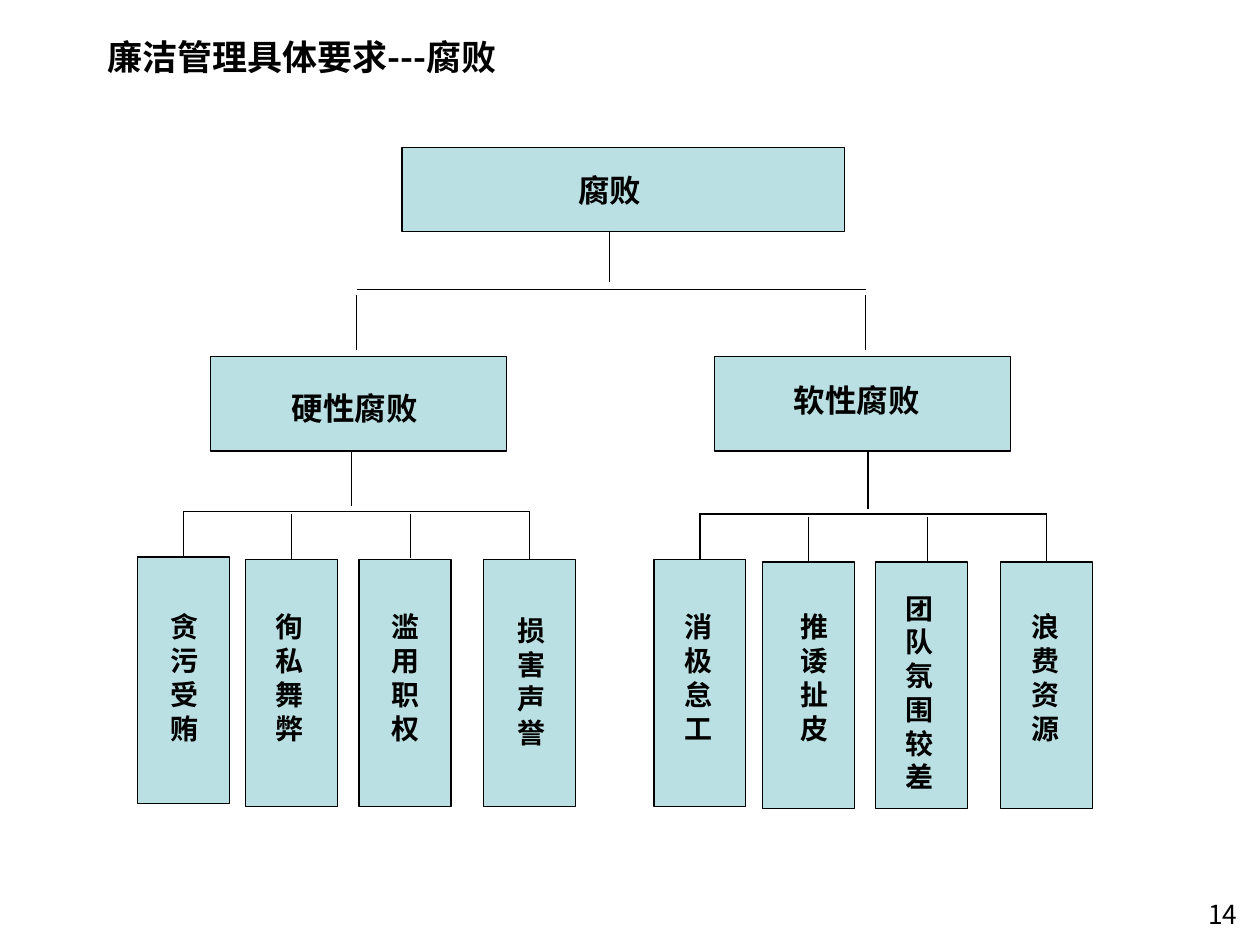
"""Build the slide with the tree of hard and soft corruption."""
from lxml.etree import SubElement
from pptx import Presentation
from pptx.dml.color import RGBColor
from pptx.enum.shapes import MSO_CONNECTOR, MSO_SHAPE
from pptx.enum.text import MSO_ANCHOR, PP_ALIGN
from pptx.oxml.ns import qn
from pptx.util import Inches, Pt

BLACK = RGBColor(0, 0, 0)
TEAL = RGBColor(0xBB, 0xE0, 0xE3)
SANS = "Noto Sans CJK SC"

deck = Presentation()
deck.slide_width, deck.slide_height = Inches(10), Inches(7.5)
COL, ROW = deck.slide_width / 100, deck.slide_height / 75
slide = deck.slides.add_slide(deck.slide_layouts[5])
shapes = slide.shapes


def write(text, place, box=None, size=18, font="Arial", bold=True, align=PP_ALIGN.CENTER,
          anchor=MSO_ANCHOR.TOP, pad=(0, 0), drop=0, pitch=None):
    x, y, w, h = place
    box = box or shapes.add_textbox(0, 0, 0, 0)
    box.left, box.top = round(x * COL), round(y * ROW)
    box.width, box.height = round(w * COL), round(h * ROW)
    frame = box.text_frame
    frame.word_wrap = True
    frame.vertical_anchor = anchor
    frame.margin_left = frame.margin_right = round(pad[0] * COL)
    frame.margin_top = round((pad[1] + drop) * ROW)
    frame.margin_bottom = round(pad[1] * ROW)
    frame.text = text
    for para in frame.paragraphs:
        para.alignment = align
        para.space_before = Pt(0)
        if pitch:
            para.line_spacing = Pt(pitch)
        for run in para.runs:
            run.font.size, run.font.bold, run.font.name = Pt(size), bold, font
            run.font.color.rgb = BLACK
            SubElement(run.font._element if hasattr(run.font, "_element")
                       else run._r.get_or_add_rPr(), qn("a:ea"), typeface=SANS)


def link(x, y, right, low):
    line = shapes.add_connector(MSO_CONNECTOR.STRAIGHT, round(x * COL), round(y * ROW),
                                round(right * COL), round(low * ROW))
    line.line.color.rgb = BLACK
    line.line.width = Pt(0.75)
    SubElement(line._element.spPr, qn("a:effectLst"))
    return line


write("廉洁管理具体要求---腐败", (7.5, 2.2, 85.6, 4.5), box=shapes.title, size=20,
      font=SANS, align=PP_ALIGN.LEFT, anchor=MSO_ANCHOR.MIDDLE, pad=(1, 0.5))
write("14", (75.9, 70.8, 23.3, 3.5), size=15, font=SANS, bold=False,
      align=PP_ALIGN.RIGHT, pad=(1, 0.5))

SIDES = [(0, 0), (41, 0.2)]
LEAVES = [(10.9, 44.2), (19.5, 44.4), (28.5, 44.4), (38.4, 44.4)]
STEMS = [(14.5, 40.6), (23.1, 40.8), (32.6, 40.8), (42.3, 40.6)]
places = [(31.9, 11.7, 35.1, 6.7), (16.7, 28.3, 23.5, 7.5), (56.7, 28.3, 23.5, 7.5)]
places += [(x + dx, y + dy, 7.3, 19.6) for dx, dy in SIDES for x, y in LEAVES]

rects = []
for x, y, w, h in places:
    rect = shapes.add_shape(MSO_SHAPE.RECTANGLE, round(x * COL), round(y * ROW),
                            round(w * COL), round(h * ROW))
    rect.shadow.inherit = False
    rect.fill.solid()
    rect.fill.fore_color.rgb = TEAL
    rect.line.color.rgb = BLACK
    rect.line.width = Pt(0.75)
    rects.append(rect)

link(48.4, 18.3, 48.4, 22.4)
link(28.3, 23, 68.7, 23)
for x in (28.3, 68.7):
    link(x, 23.4, x, 27.8)

for side, (dx, dy) in enumerate(SIDES):
    link(27.9 + dx, 35.7 + dy, 27.9 + dx, 40.2 + dy)
    link(14.5 + dx, 40.6 + dy, 42.1 + dx, 40.6 + dy)
    for spot, (x, y) in enumerate(STEMS):
        leaf = rects[3 + 4 * side + spot]
        mid = (leaf.left + leaf.width / 2) / COL
        near = abs(mid - x - dx) < 0.3
        top = mid if near else x + dx
        stem = link(top, y + dy, top, y + dy + 3.5)
        if near:
            stem.end_connect(leaf, 0)

write("腐败", (32.5, 13.3, 31.8, 3), pitch=23.5)
write("硬性腐败", (20, 30, 16.3, 5.6), anchor=MSO_ANCHOR.MIDDLE, pitch=16)
write("软性腐败", (58.4, 28.3, 19.2, 7.5), anchor=MSO_ANCHOR.MIDDLE, pitch=17)

LABELS = [("贪污受贿", 10.9, 4.2), ("徇私舞弊", 19.2, 4.2), ("滥用职权", 28.4, 4.2),
          ("损害声誉", 38.4, 4.5), ("消极怠工", 51.7, 4.2), ("推诿扯皮", 60.9, 4.2),
          ("团队氛围较差", 69.2, 2.7), ("浪费资源", 79.2, 4.2)]
for name, x, drop in LABELS:
    write("\n".join(name), (x, 44.2, 7.5, 20), size=16, drop=drop, pitch=19.3)

deck.save("out.pptx")
